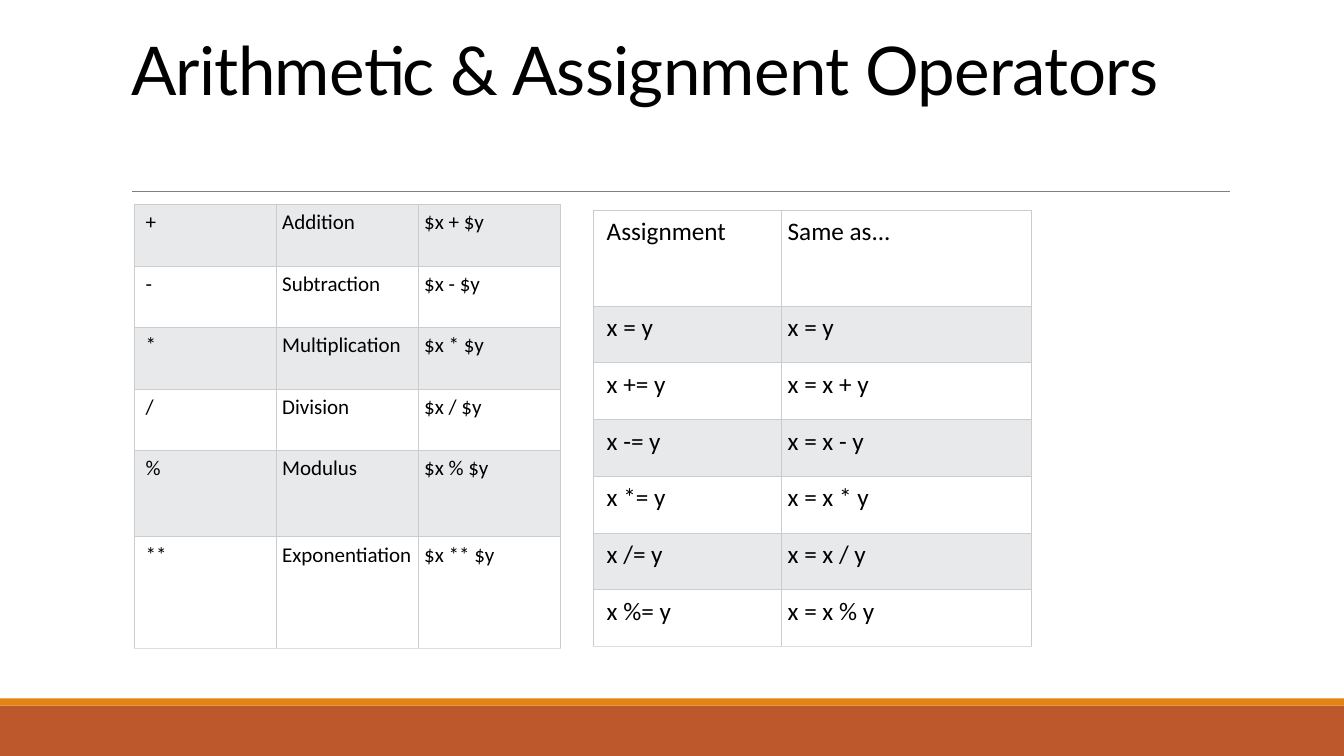
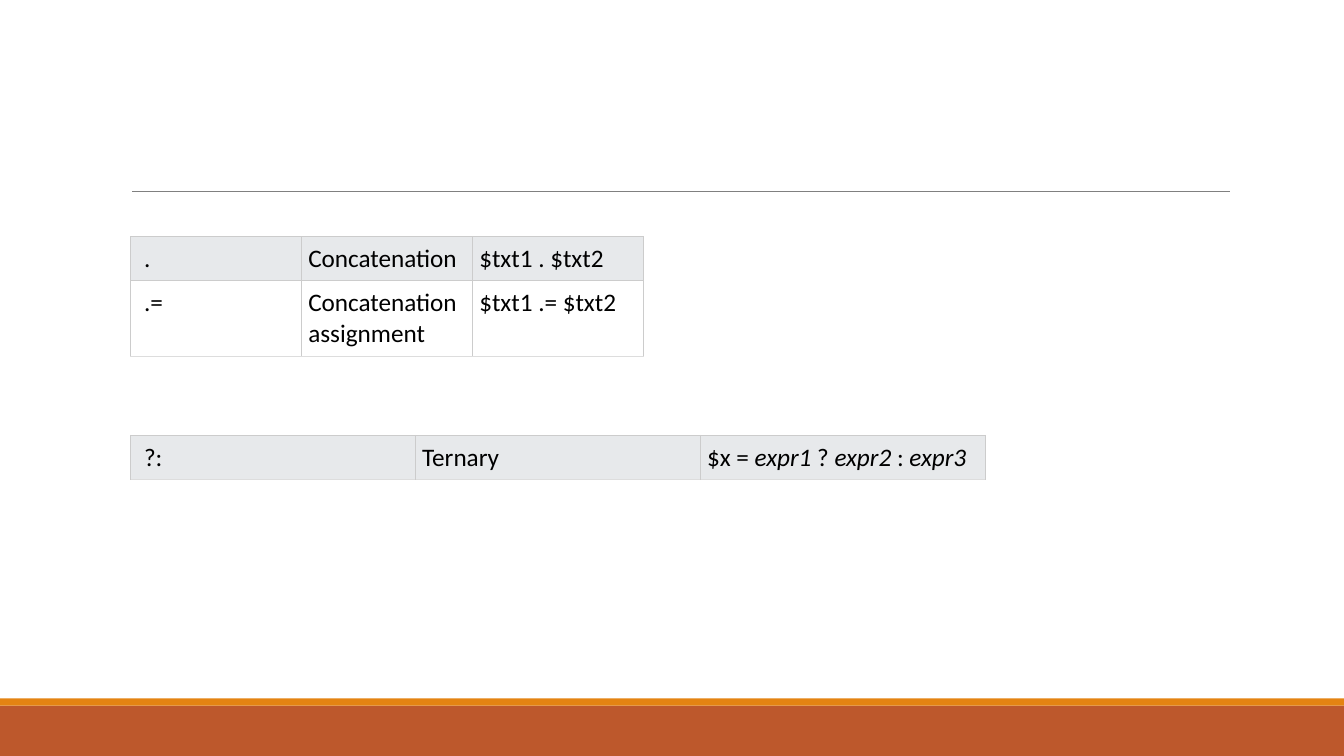
"""Build two slides of operator tables."""
from lxml import etree
from pptx import Presentation
from pptx.dml.color import RGBColor
from pptx.enum import shapes, text
from pptx.oxml import ns
from pptx.util import Cm, Pt

BLACK = RGBColor(0x00, 0x00, 0x00)
WHITE = RGBColor(0xFF, 0xFF, 0xFF)
GREY = RGBColor(0xE7, 0xE9, 0xEB)
RULE = RGBColor(0x80, 0x80, 0x80)
RUST = RGBColor(0xBD, 0x58, 0x2C)
AMBER = RGBColor(0xE4, 0x83, 0x12)
EDGE = RGBColor(0xCC, 0xCC, 0xCC)
BASE = RGBColor(0xDD, 0xDD, 0xDD)


def write(frame, words, size=18, font="Calibri", pitch=None, space=None):
    """Write words into a frame; parts between underscores are italic."""
    para = frame.paragraphs[0]
    para.alignment = text.PP_ALIGN.LEFT
    para.line_spacing = space
    for i, part in enumerate(words.split("_")):
        if part:
            run = para.add_run()
            run.text = part
            run.font.size = Pt(size)
            run.font.name = font
            run.font.color.rgb = BLACK
            if i % 2:
                run.font.italic = True
            if pitch:
                run.font._element.set("spc", str(pitch))


def edge(cell, side, color):
    """Draw one border of a cell."""
    props = cell._tc.get_or_add_tcPr()
    line = etree.SubElement(props, ns.qn("a:ln" + side), w=str(Pt(0.6)))
    fill = etree.SubElement(line, ns.qn("a:solidFill"))
    etree.SubElement(fill, ns.qn("a:srgbClr"), val=str(color))


deck = Presentation()
deck.slide_width, deck.slide_height = Cm(33.87), Cm(19.05)
plan = deck.slide_layouts[5]
first, second = [deck.slides.add_slide(plan) for _ in range(2)]

parts = []
for top, high, color in [(17.78, 1.27, RUST), (17.6, 0.18, AMBER)]:
    band = first.shapes.add_shape(
        shapes.MSO_SHAPE.RECTANGLE, 0, Cm(top), deck.slide_width, Cm(high))
    band.shadow.inherit = False
    band.fill.solid()
    band.fill.fore_color.rgb = color
    band.line.fill.background()
    parts.append(band)
rule = first.shapes.add_connector(
    shapes.MSO_CONNECTOR.STRAIGHT, Cm(3.33), Cm(4.82), Cm(31), Cm(4.82))
rule.line.color.rgb = RULE
rule.line.width = Pt(0.5)
etree.SubElement(rule._element.spPr, ns.qn("a:effectLst"))
parts.append(rule)
for spot, part in enumerate(parts, 2):
    plan.shapes.element.insert(spot, part.element)

title = first.shapes.title
title.left, title.top, title.width, title.height = Cm(3.05), Cm(0.8), Cm(27.94), Cm(4.03)
frame = title.text_frame
frame.word_wrap = True
frame.auto_size = text.MSO_AUTO_SIZE.NONE
frame.vertical_anchor = text.MSO_ANCHOR.TOP
frame.margin_top = Cm(0.22)
write(frame, "Arithmetic & Assignment Operators", size=48, font="Lato", pitch=-50, space=0.85)
blank = second.shapes.title.element
blank.getparent().remove(blank)

maths = [
    ("+", "Addition", "$x + $y"),
    ("-", "Subtraction", "$x - $y"),
    ("*", "Multiplication", "$x * $y"),
    ("/", "Division", "$x / $y"),
    ("%", "Modulus", "$x % $y"),
    ("**", "Exponentiation", "$x ** $y"),
]
assign = [("Assignment", "Same as..."), ("x = y", "x = y")]
assign += [(f"x {sign}= y", f"x = x {sign} y") for sign in "+-*/%"]
join = [
    (".", "Concatenation", "$txt1 . $txt2"),
    (".=", "Concatenation assignment", "$txt1 .= $txt2"),
]
choice = [("?:", "Ternary", "$x = _expr1_ ? _expr2_ : _expr3_")]

grids = [
    (first, maths, 3.39, 5.15, [3.58] * 3, [1.55] * 4 + [2.17, 2.82], 15, 0.14, [GREY, WHITE]),
    (first, assign, 14.95, 5.29, [4.73, 6.31], [2.42] + [1.43] * 6, 18, 0.17, [WHITE, GREY]),
    (second, join, 3.29, 5.96, [4.31] * 3, [1.11, 1.89], 18, 0.17, [GREY, WHITE]),
    (second, choice, 3.29, 10.97, [7.18] * 3, [1.11], 18, 0.17, [GREY, WHITE]),
]
for slide, rows, left, top, wide, high, size, pad, fills in grids:
    grid = slide.shapes.add_table(
        len(rows), len(wide), Cm(left), Cm(top), Cm(sum(wide)), Cm(sum(high))).table
    grid.first_row = grid.horz_banding = False
    for col, width in zip(grid.columns, wide):
        col.width = Cm(width)
    for r, row in enumerate(rows):
        grid.rows[r].height = Cm(high[r])
        for c, words in enumerate(row):
            cell = grid.cell(r, c)
            cell.margin_top = cell.margin_right = cell.margin_bottom = Cm(pad)
            cell.margin_left = Cm(pad if c else 2 * pad)
            for side in "LRT":
                edge(cell, side, EDGE)
            edge(cell, "B", BASE if r == len(rows) - 1 else EDGE)
            cell.fill.solid()
            cell.fill.fore_color.rgb = fills[r % 2]
            write(cell.text_frame, words, size=size)

deck.save("out.pptx")
